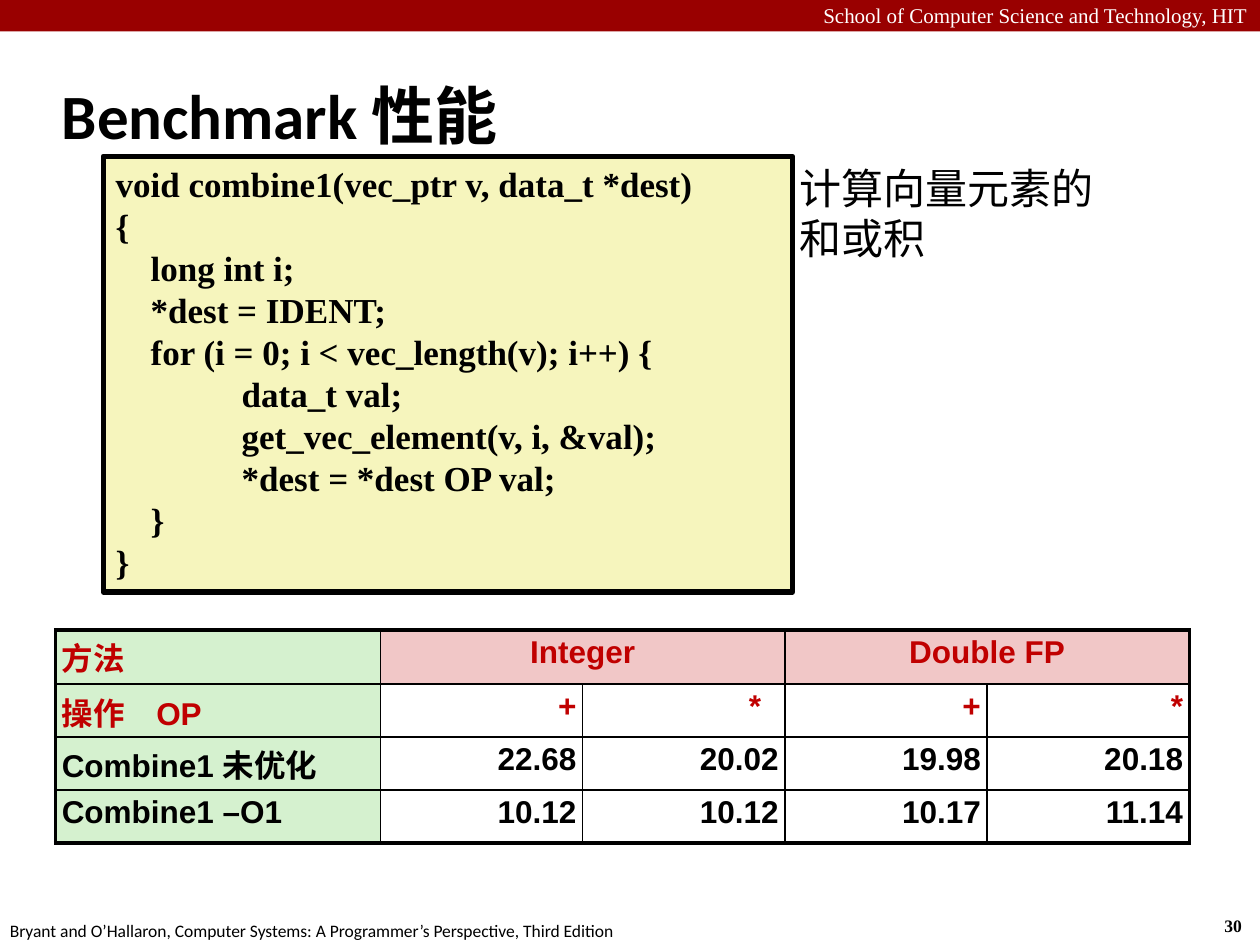
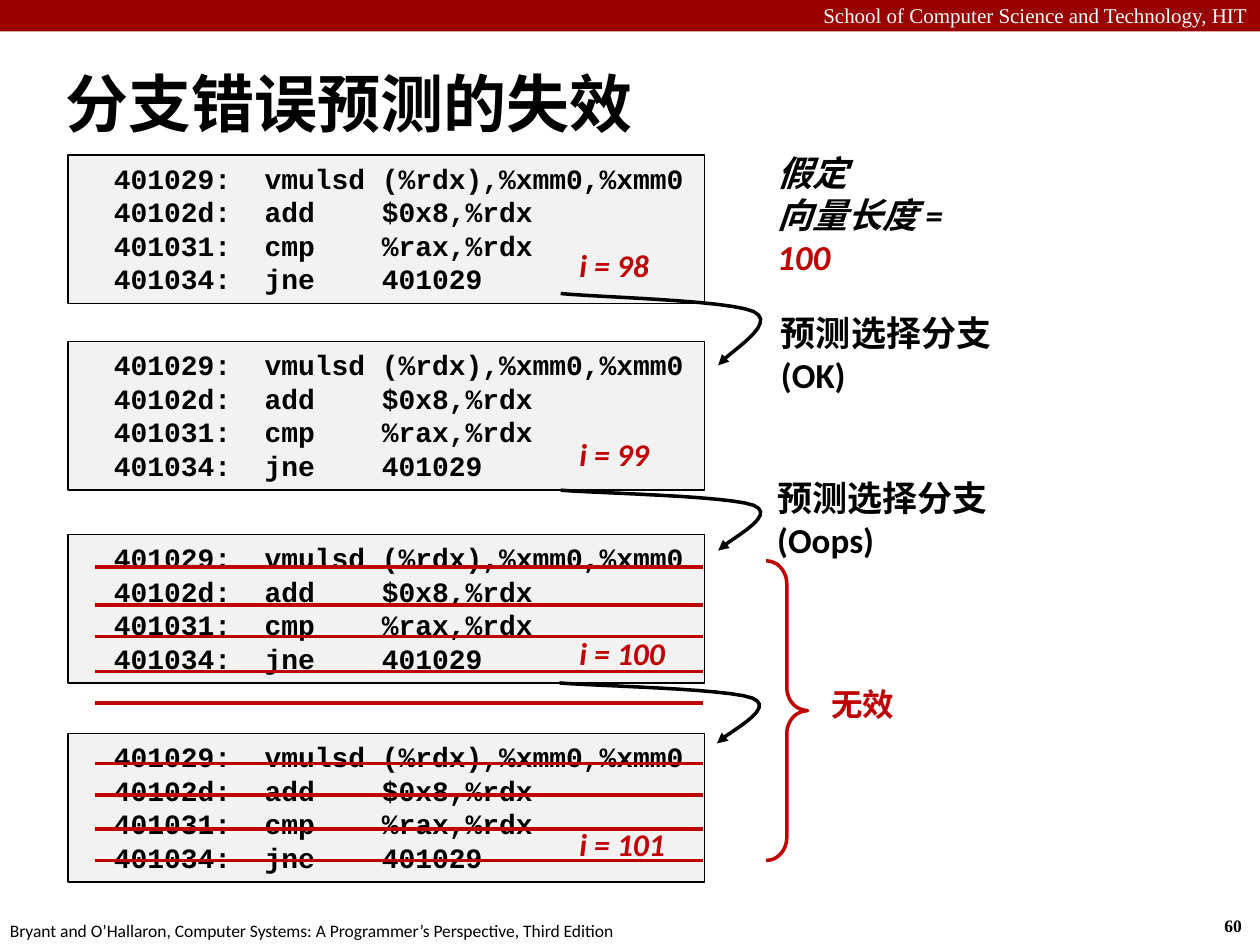
from lxml import etree
from pptx import Presentation
from pptx.dml.color import RGBColor
from pptx.enum.shapes import MSO_CONNECTOR, MSO_SHAPE
from pptx.enum.text import MSO_ANCHOR, MSO_AUTO_SIZE, PP_ALIGN
from pptx.oxml.ns import qn
from pptx.util import Inches, Pt

LEFT, CENTER, RIGHT = PP_ALIGN.LEFT, PP_ALIGN.CENTER, PP_ALIGN.RIGHT
TOP, MIDDLE = MSO_ANCHOR.TOP, MSO_ANCHOR.MIDDLE
NO_AUTOFIT = MSO_AUTO_SIZE.NONE
RECTANGLE, RIGHT_BRACE = MSO_SHAPE.RECTANGLE, MSO_SHAPE.RIGHT_BRACE
STRAIGHT = MSO_CONNECTOR.STRAIGHT
TITLE_ONLY = 5

COLUMNS, ROWS = 100, 75
COLORS = {
    "band": "990000",
    "white": "FFFFFF",
    "black": "000000",
    "red": "C00000",
    "code": "F6F5BD",
    "assembly": "F2F2F2",
    "method": "D5F1CF",
    "type": "F1C7C7",
}
SANS, SERIF, MONO, TABLE_FONT = "Calibri", "Times New Roman", "Courier New", "Arial"
SCHOOL = "School of Computer Science and Technology, HIT"
BOOK = "Bryant and O’Hallaron, Computer Systems: A Programmer’s Perspective, Third Edition"

COMBINE_CODE = """void combine1(vec_ptr v, data_t *dest)
{
    long int i;
    *dest = IDENT;
    for (i = 0; i < vec_length(v); i++) {
\tdata_t val;
\tget_vec_element(v, i, &val);
\t*dest = *dest OP val;
    }
}"""
LOOP_CODE = """  401029:  vmulsd (%rdx),%xmm0,%xmm0
  40102d:  add    $0x8,%rdx
  401031:  cmp    %rax,%rdx
  401034:  jne    401029"""

BENCHMARK = [
    ["方法", "Integer", "", "Double FP", ""],
    ["操作\tOP", "+", "*", "+", "*"],
    ["Combine1 未优化", "22.68", "20.02", "19.98", "20.18"],
    ["Combine1 –O1", "10.12", "10.12", "10.17", "11.14"],
]

# Two cubic curves as (columns, share of the height): start, then three points each.
BRANCH_CURVE = [(0, 0), (2.6, 0.05), (13.2, 0.09), (15.3, 0.25),
                (17.4, 0.42), (13.1, 0.84), (12.5, 1)]
CURVE_STEPS = 12


def color(name):
    return RGBColor.from_string(COLORS[name])


def add_tab_stops(paragraph, *inches):
    tabs = etree.SubElement(paragraph._p.get_or_add_pPr(), qn("a:tabLst"))
    for position in inches:
        etree.SubElement(tabs, qn("a:tab"), pos=str(Inches(position)), algn="l")


def cubic_points(start, first, second, end):
    """Return evenly stepped points of a cubic curve, without its start."""
    points = []
    for step in range(1, CURVE_STEPS + 1):
        t = step / CURVE_STEPS
        weights = ((1 - t) ** 3, 3 * t * (1 - t) ** 2, 3 * t * t * (1 - t), t ** 3)
        points.append(tuple(
            sum(weight * value for weight, value in zip(weights, values))
            for values in zip(start, first, second, end)))
    return points


class Deck:
    """The shared style and current slide; places are in grid columns and rows."""

    def __init__(self):
        self.presentation = Presentation()
        self.presentation.slide_width = Inches(10)
        self.presentation.slide_height = Inches(7.5)
        self.column = self.presentation.slide_width // COLUMNS
        self.row = self.presentation.slide_height // ROWS
        self.slide = None

    def place(self, left, top, width, height):
        return (round(left * self.column), round(top * self.row),
                round(width * self.column), round(height * self.row))

    def style(self, paragraph, size, name, font_color="black", bold=False,
              italic=False, align=LEFT):
        paragraph.alignment = align
        font = paragraph.font
        font.size, font.name = Pt(size), name
        font.bold, font.italic = bold, italic
        font.color.rgb = color(font_color)

    def outline(self, shape, line_color, width):
        shape.line.color.rgb = color(line_color)
        shape.line.width = Pt(width)

    def new_slide(self, title, number, title_area):
        layout = self.presentation.slide_layouts[TITLE_ONLY]
        self.slide = self.presentation.slides.add_slide(layout)
        self.box((0, 0, COLUMNS, 2.5), "band")
        self.text((0, -0.3, COLUMNS, 3), SCHOOL, 12, SERIF, "white", align=RIGHT)
        self.text((96.2, 72.1, 3.7, 2.7), number, 10, SERIF, bold=True, wrap=False)
        self.text((-0.2, 72.5, 50.8, 2.7), BOOK, 10, SANS, wrap=False)
        self.title(title, title_area)

    def title(self, title, area):
        shape = self.slide.shapes.title
        shape.left, shape.top, shape.width, shape.height = self.place(*area)
        frame = shape.text_frame
        frame.text = title
        frame.auto_size = NO_AUTOFIT
        frame.vertical_anchor = MIDDLE
        self.style(frame.paragraphs[0], 36, SANS, bold=True)

    def box(self, area, fill, preset=RECTANGLE):
        shape = self.slide.shapes.add_shape(preset, *self.place(*area))
        shape.shadow.inherit = False
        if fill:
            shape.fill.solid()
            shape.fill.fore_color.rgb = color(fill)
        else:
            shape.fill.background()
        shape.line.fill.background()
        return shape

    def text(self, area, text, size, name, font_color="black", bold=False,
             italic=False, align=LEFT, wrap=True):
        frame = self.slide.shapes.add_textbox(*self.place(*area)).text_frame
        frame.word_wrap = wrap
        frame.text = text
        for paragraph in frame.paragraphs:
            self.style(paragraph, size, name, font_color, bold, italic, align)
        return frame

    def code(self, area, code, fill, size, name, line_width, wrap=True, tabs=()):
        shape = self.box(area, fill)
        self.outline(shape, "black", line_width)
        frame = shape.text_frame
        frame.word_wrap = wrap
        frame.vertical_anchor = TOP
        frame.text = code
        for paragraph in frame.paragraphs:
            paragraph.alignment = LEFT
            if tabs:
                add_tab_stops(paragraph, *tabs)
            self.style(paragraph, size, name, bold=True)

    def brace(self, area, bend):
        shape = self.box(area, None, RIGHT_BRACE)
        shape.adjustments[0] = bend
        self.outline(shape, "red", 2)

    def strike(self, left, right, row):
        x1, y, x2, _ = self.place(left, row, right, 0)
        line = self.slide.shapes.add_connector(STRAIGHT, x1, y, x2, y)
        self.outline(line, "red", 2)
        etree.SubElement(line._element.spPr, qn("a:effectLst"))

    def branch_arrow(self, left, top, height):
        points = [BRANCH_CURVE[0]]
        for index in (0, 3):
            points += cubic_points(*BRANCH_CURVE[index:index + 4])
        points = [self.place(left + x, top + y * height, 0, 0)[:2] for x, y in points]
        builder = self.slide.shapes.build_freeform(*points[0])
        builder.add_line_segments(points[1:], close=False)
        shape = builder.convert_to_shape()
        shape.shadow.inherit = False
        shape.fill.background()
        self.outline(shape, "black", 2)
        etree.SubElement(shape.line._get_or_add_ln(), qn("a:tailEnd"), type="triangle")

    def table(self, area, values, widths, heights, merges):
        row_count, column_count = len(values), len(values[0])
        table = self.slide.shapes.add_table(
            row_count, column_count, *self.place(*area)).table
        table.first_row = table.horz_banding = False
        for column, width in zip(table.columns, widths):
            column.width = round(width * self.column)
        for row, height in zip(table.rows, heights):
            row.height = round(height * self.row)
        for row, first, last in merges:
            table.cell(row, first).merge(table.cell(row, last))
        for r, row_values in enumerate(values):
            for c, value in enumerate(row_values):
                cell = table.cell(r, c)
                if cell.is_spanned:
                    continue
                last = c + (cell.span_width if cell.is_merge_origin else 1)
                self.borders(cell, {"lnL": c == 0, "lnR": last == column_count,
                                    "lnT": r == 0, "lnB": r == row_count - 1})
                self.cell(cell, value, r, c)
        return table

    def cell(self, cell, value, row, column):
        fill = "method" if column == 0 else "type" if row == 0 else None
        if fill:
            cell.fill.solid()
            cell.fill.fore_color.rgb = color(fill)
        else:
            cell.fill.background()
        cell.margin_left = cell.margin_right = Inches(0.05)
        cell.margin_top = cell.margin_bottom = Inches(0.05)
        cell.text = value
        paragraph = cell.text_frame.paragraphs[0]
        paragraph.line_spacing = 0.95
        if "\t" in value:
            add_tab_stops(paragraph, 0.75)
        align = LEFT if column == 0 else CENTER if row == 0 else RIGHT
        self.style(paragraph, 18, TABLE_FONT, "red" if row < 2 else "black",
                   bold=True, align=align)

    def borders(self, cell, outer_sides):
        properties = cell._tc.get_or_add_tcPr()
        for side, is_outer in outer_sides.items():
            line = etree.SubElement(properties, qn("a:" + side),
                                    w=str(Pt(2.25 if is_outer else 1)))
            fill = etree.SubElement(line, qn("a:solidFill"))
            etree.SubElement(fill, qn("a:srgbClr"), val=COLORS["black"])


def benchmark_slide(deck):
    deck.new_slide("Benchmark 性能", "30", (3.9, 4.9, 83, 8.3))
    deck.code((8.2, 12.4, 54.7, 34.6), COMBINE_CODE, "code", 20, SERIF, 3,
              tabs=(1, 2.5))
    deck.text((62.5, 12.4, 26.7, 9.1), "计算向量元素的和或积", 24, SANS)
    table = deck.table((4.4, 50, 90, 17), BENCHMARK, [25.8] + [16.05] * 4,
                       [4.3] + [4.2] * 3, merges=[(0, 1, 2), (0, 3, 4)])
    table.cell(1, 2).margin_right = Inches(0.19)


def misprediction_slide(deck):
    deck.new_slide("分支错误预测的失效", "60", (4.2, 5, 86.9, 6.3))
    for top in (12.3, 27.1, 42.4, 58.2):
        deck.code((5.4, top, 50.5, 11.8), LOOP_CODE, "assembly", 16, MONO, 0.75,
                  wrap=False)
    for left, top, height in ((44.5, 23.3, 5.7), (44.5, 38.9, 4.8), (44.4, 54.2, 4.8)):
        deck.branch_arrow(left, top, height)
    for index, top, width in ((98, 19, 7.6), (99, 34, 7.6),
                              (100, 49.8, 8.9), (101, 65, 8.9)):
        deck.text((45, top, width, 4), f"i = {index}", 18, SANS, "red",
                  bold=True, italic=True, wrap=False)

    assumption = deck.text((60.7, 11.5, 19, 7.7), "假定\n向量长度 = ", 20, SANS,
                           bold=True, italic=True)
    length = assumption.paragraphs[1].add_run()
    length.text = "100"
    length.font.color.rgb = color("red")
    deck.text((61, 24.2, 23, 4.4), "预测选择分支(OK)", 20, SANS, bold=True)
    deck.text((60.7, 37.3, 25, 4.4), "预测选择分支(Oops)", 20, SANS, bold=True)

    for row in (45, 48, 50.5, 53.3, 55.8, 60.6, 63.1, 65.8, 68.3):
        deck.strike(7.5, 55.8, row)
    deck.brace((60.8, 44.5, 3.3, 23.8), 0.56)
    deck.text((65, 53.9, 7.1, 4), "无效", 18, SANS, "red", bold=True, wrap=False)


def main():
    deck = Deck()
    benchmark_slide(deck)
    misprediction_slide(deck)
    deck.presentation.save("out.pptx")


if __name__ == "__main__":
    main()
